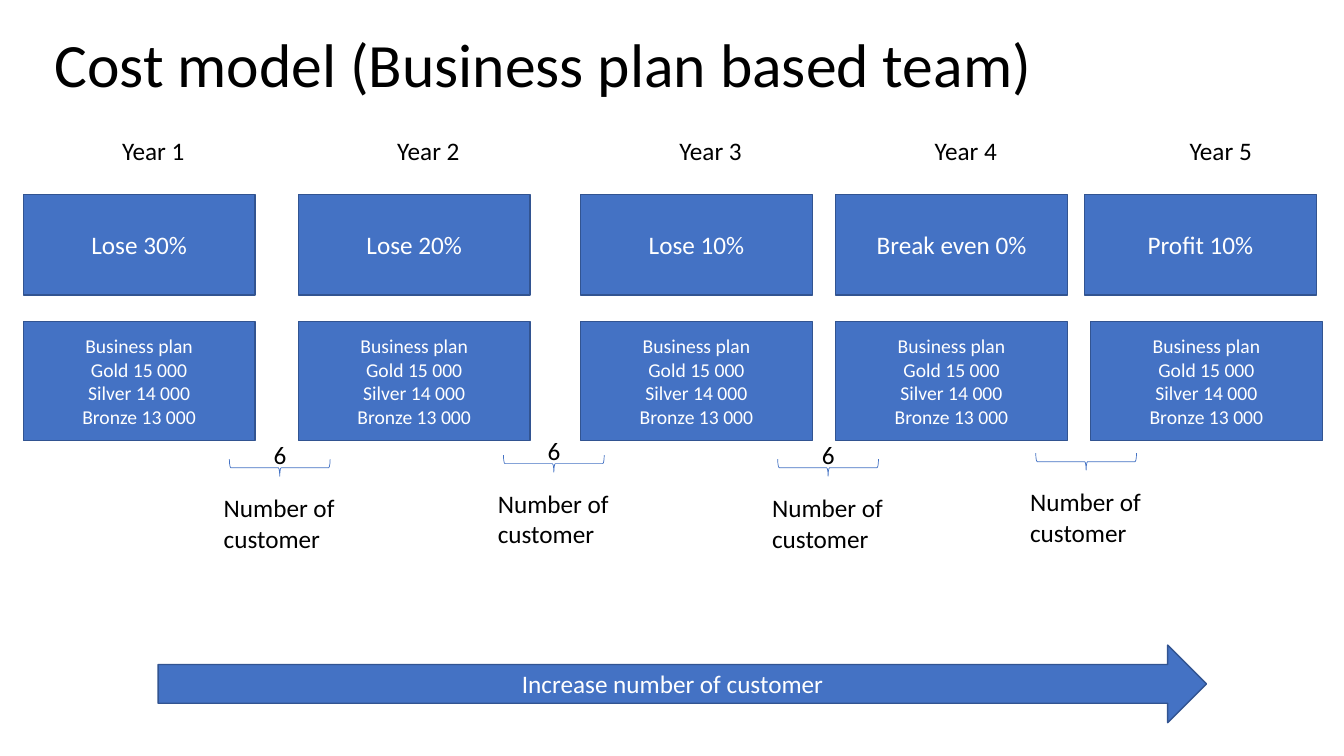
from pptx import Presentation
from pptx.dml.color import RGBColor
from pptx.enum.shapes import MSO_SHAPE as SHAPE
from pptx.enum.text import MSO_ANCHOR as ANCHOR, MSO_AUTO_SIZE as AUTO, PP_ALIGN as ALIGN
from pptx.util import Pt

BLUE = RGBColor(0x44, 0x72, 0xC4)
NAVY = RGBColor(0x32, 0x54, 0x91)
BLACK = RGBColor(0, 0, 0)
WHITE = RGBColor(255, 255, 255)
FONT = "Calibri"

PLAN = "Business plan\nGold 15 000\nSilver 14 000\nBronze 13 000"
COL_W = 165.6
# Year, result, left of the column, left of the result box
YEARS = [
    ("Year 1", "Lose 30%", 16.6, 16.6),
    ("Year 2", "Lose 20%", 213.1, 213.1),
    ("Year 3", "Lose 10%", 414.7, 414.7),
    ("Year 4", "Break even 0%", 596.9, 596.9),
    ("Year 5", "Profit 10%", 779, 774.7),
]
# Brace left and top before rotation, customer count
GROWTH = [(193.7, 298.1, "6"), (389.5, 295.2, "6"), (585.4, 298.1, "6"), (769.7, 293.8, "")]


def write(tf, text, size, color, align):
    tf.text = text
    for p in tf.paragraphs:
        p.alignment = align
        for r in p.runs:
            r.font.name = FONT
            r.font.size = Pt(size)
            r.font.color.rgb = color


def add_label(s, text, x, y, w, h):
    tf = s.shapes.add_textbox(Pt(x), Pt(y), Pt(w), Pt(h)).text_frame
    tf.word_wrap = False
    tf.auto_size = AUTO.SHAPE_TO_FIT_TEXT
    write(tf, text, 18, BLACK, ALIGN.LEFT)


def add_block(s, kind, text, size, x, y, w, h):
    sp = s.shapes.add_shape(kind, Pt(x), Pt(y), Pt(w), Pt(h))
    sp.shadow.inherit = False
    sp.fill.solid()
    sp.fill.fore_color.rgb = BLUE
    sp.line.color.rgb = NAVY
    sp.line.width = Pt(1)
    sp.text_frame.vertical_anchor = ANCHOR.MIDDLE
    write(sp.text_frame, text, size, WHITE, ALIGN.CENTER)


def add_title(s, text, x, y, w, h):
    title = s.shapes.title
    title.left, title.top, title.width, title.height = Pt(x), Pt(y), Pt(w), Pt(h)
    tf = title.text_frame
    tf.margin_left = tf.margin_right = tf.margin_top = tf.margin_bottom = 0
    tf.vertical_anchor = ANCHOR.BOTTOM
    tf.auto_size = AUTO.NONE
    tf.word_wrap = True
    write(tf, text, 44, BLACK, ALIGN.LEFT)
    tf.paragraphs[0].line_spacing = 0.9


def add_year(s, year, result, x, result_x, y):
    add_label(s, year, x + 63.6, y, 59.8, 29)
    add_block(s, SHAPE.RECTANGLE, result, 18, result_x, y + 46, COL_W, 72)
    add_block(s, SHAPE.RECTANGLE, PLAN, 14, x, y + 136.8, COL_W, 85)


def add_growth(s, count, x, y):
    brace = s.shapes.add_shape(SHAPE.RIGHT_BRACE, Pt(x), Pt(y), Pt(12.2), Pt(72))
    brace.rotation = 90
    brace.shadow.inherit = False
    brace.fill.background()
    brace.line.color.rgb = BLUE
    brace.line.width = Pt(0.5)
    add_label(s, "Number of\ncustomer", x - 41, y + 50.2, 95, 51)
    if count:
        add_label(s, count, x - 5.4, y + 12, 23.8, 29)


def main():
    prs = Presentation()
    prs.slide_width, prs.slide_height = Pt(960), Pt(540)
    s = prs.slides.add_slide(prs.slide_layouts[5])

    # Title
    add_title(s, "Cost model (Business plan based team)", 38.9, 0, 833.8, 72)

    # Yearly columns
    for year, result, x, result_x in YEARS:
        add_year(s, year, result, x, result_x, 92.9)

    # Customer arrow
    add_block(s, SHAPE.RIGHT_ARROW, "Increase number of customer", 18, 113, 460.8, 748.8, 55.4)

    # Customer growth between the years
    for x, y, count in GROWTH:
        add_growth(s, count, x, y)

    prs.save("out.pptx")


if __name__ == "__main__":
    main()
